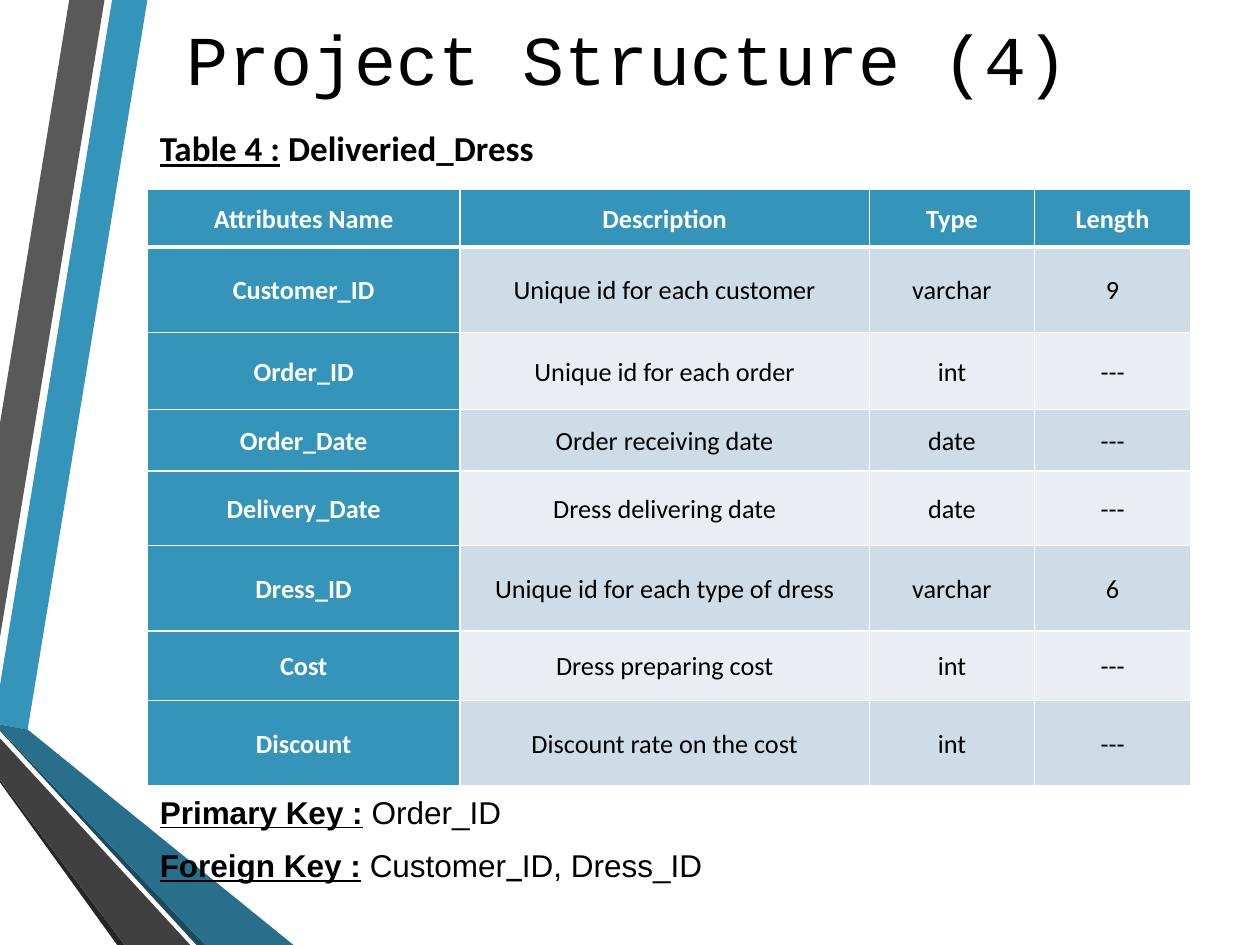
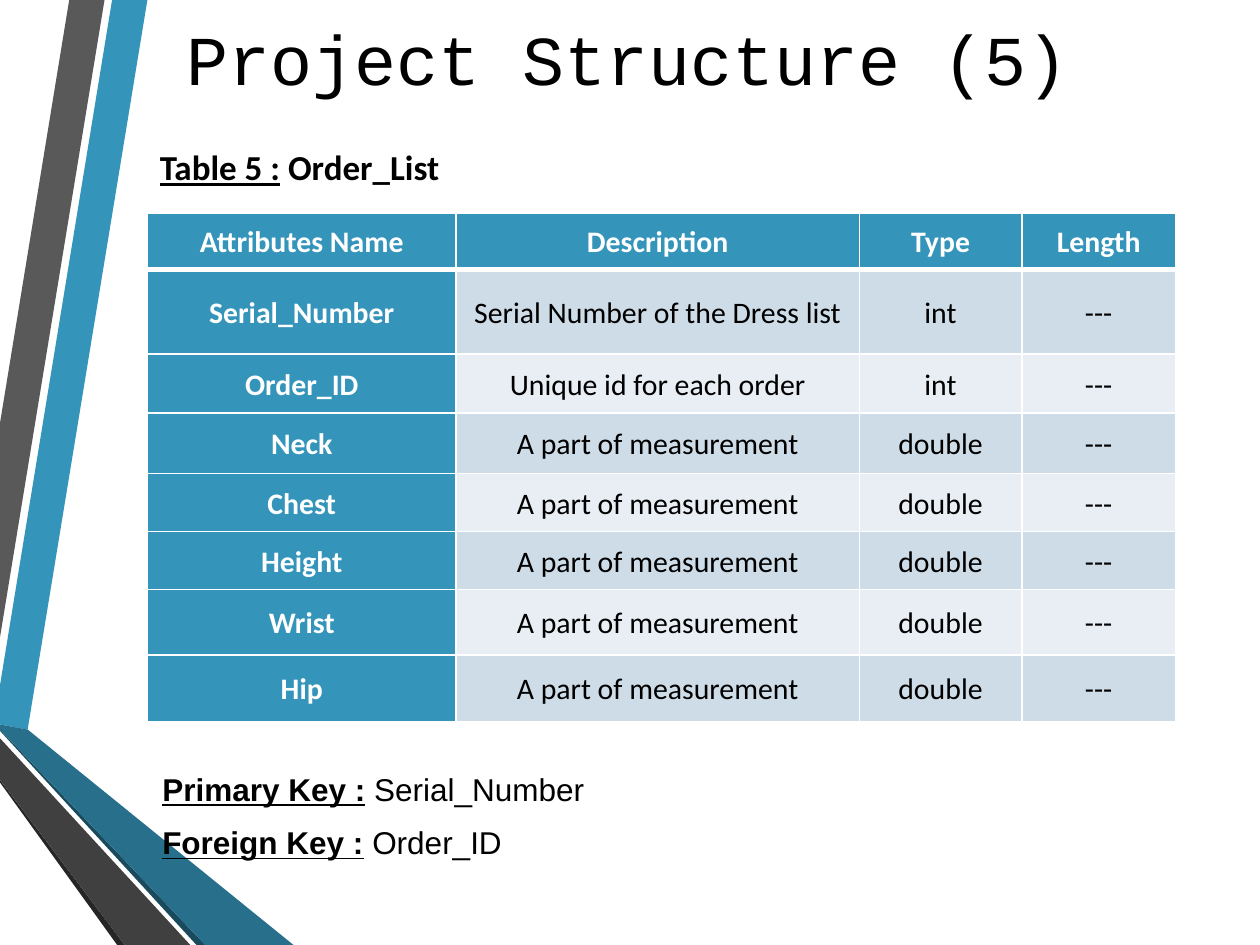
from lxml.etree import SubElement
from pptx import Presentation
from pptx.dml.color import RGBColor
from pptx.enum.text import MSO_ANCHOR, PP_ALIGN
from pptx.oxml.ns import qn
from pptx.util import Pt

PX = 9144
HUES = {
    "blue": "3494BA", "gray": "595959", "soot": "262626", "navy": "1A4A5D",
    "teal": "276F8B", "coal": "404040", "dark": "CEDCE7", "light": "E8EEF3",
    "white": "FFFFFF", "black": "000000",
}
BANDS = [
    ("blue", [(0, 544), (0, 575), (22, 579), (117, 0), (89, 0)]),
    ("gray", [(83, 0), (55, 0), (0, 336), (0, 506)]),
    ("soot", [(0, 619), (0, 621), (93, 750), (99, 750)]),
    ("navy", [(0, 579), (0, 580), (156, 750), (163, 750)]),
    ("teal", [(0, 579), (163, 750), (233, 750), (22, 579), (0, 575)]),
    ("coal", [(0, 619), (99, 750), (151, 750), (0, 586)]),
]
TITLE = {"name": "Courier New", "size": Pt(40)}
LABEL = {"name": "Calibri", "size": Pt(20), "bold": True}
KEY = {"name": "Arial", "size": Pt(18)}
BOLD = {"bold": True}
LINE = {"bold": True, "underline": True}
HEAD = ["Attributes Name", "Description", "Type", "Length"]
PART = ["A part of measurement", "double", "---"]
PAGES = [
    {
        "title": "Project Structure (4)",
        "label": ("Table 4 :", " Deliveried_Dress"), "top": 65,
        "keys": (117, 622, 125),
        "main": [("Order_ID", {})],
        "links": [("Customer", {}), ("_", {"name": "Calibri", "bold": True}),
                  ("ID, Dress_ID", {})],
        "grid": (117, 150), "size": 15, "pad": 6,
        "cols": [248, 325, 131, 124],
        "highs": [46, 68, 61, 49, 59, 68, 55, 68],
        "rows": [
            ["Customer_ID", "Unique id for each customer", "varchar", "9"],
            ["Order_ID", "Unique id for each order", "int", "---"],
            ["Order_Date", "Order receiving date", "date", "---"],
            ["Delivery_Date", "Dress delivering date", "date", "---"],
            ["Dress_ID", "Unique id for each type of dress", "varchar", "6"],
            ["Cost", "Dress preparing cost", "int", "---"],
            ["Discount", "Discount rate on the cost", "int", "---"],
        ],
    },
    {
        "title": "Project Structure (5)",
        "label": ("Table 5 :", " Order_List"), "top": 80,
        "keys": (119, 604, 94),
        "main": [("Serial_Number", {})],
        "links": [("Order_ID", {})],
        "grid": (117, 169), "size": 17, "pad": 7,
        "cols": [245, 320, 129, 122],
        "highs": [45, 67, 47, 48, 46, 46, 52, 53],
        "rows": [
            ["Serial_Number", "Serial Number of the Dress list", "int", "---"],
            ["Order_ID", "Unique id for each order", "int", "---"],
        ] + [[name] + PART for name in ("Neck", "Chest", "Height", "Wrist", "Hip")],
    },
]


def write(para, text, look, hue="black"):
    run = para.add_run()
    run.text = text
    for name, value in look.items():
        setattr(run.font, name, value)
    run.font.color.rgb = RGBColor.from_string(HUES[hue])


def frame(slide, place, look):
    box = slide.shapes.add_textbox(*[n * PX for n in place])
    for name, value in {"word_wrap": True, **look}.items():
        setattr(box.text_frame, name, value)
    return box.text_frame


deck = Presentation()
deck.slide_width, deck.slide_height = 1000 * PX, 750 * PX

for page in PAGES:
    slide = deck.slides.add_slide(deck.slide_layouts[6])
    for hue, dots in BANDS:
        pen = slide.shapes.build_freeform(*dots[0], scale=PX)
        pen.add_line_segments(dots[1:], close=True)
        band = pen.convert_to_shape()
        band.shadow.inherit = False
        band.fill.solid()
        band.fill.fore_color.rgb = RGBColor.from_string(HUES[hue])
        band.line.fill.background()

    text = frame(slide, (50, 0, 895, 92), {"vertical_anchor": MSO_ANCHOR.MIDDLE})
    text.paragraphs[0].alignment = PP_ALIGN.CENTER
    write(text.paragraphs[0], page["title"], TITLE)

    text = frame(slide, (117, page["top"], 1177, 74),
                 {"vertical_anchor": MSO_ANCHOR.BOTTOM})
    write(text.paragraphs[0], page["label"][0], {**LABEL, **LINE})
    write(text.paragraphs[0], page["label"][1], LABEL)

    left, top, high = page["keys"]
    text = frame(slide, (left, top, 1177, high),
                 {"vertical_anchor": MSO_ANCHOR.TOP, "margin_top": 7 * PX})
    text.paragraphs[0].space_after = Pt(9)
    for para, name, parts in [
        (text.paragraphs[0], "Primary Key :", page["main"]),
        (text.add_paragraph(), "Foreign Key :", page["links"]),
    ]:
        for word, look in [(name, LINE), (" ", BOLD)] + parts:
            write(para, word, {**KEY, **look})

    rows = [HEAD] + page["rows"]
    place = (*page["grid"], sum(page["cols"]), sum(page["highs"]))
    grid = slide.shapes.add_table(len(rows), len(HEAD), *[n * PX for n in place]).table
    for col, wide in zip(grid.columns, page["cols"]):
        col.width = wide * PX
    for row, high in zip(grid.rows, page["highs"]):
        row.height = high * PX
    pad = page["pad"] * PX
    format = {"margin_left": pad, "margin_right": pad, "margin_top": 0,
              "margin_bottom": 0, "vertical_anchor": MSO_ANCHOR.MIDDLE}
    for r, words in enumerate(rows):
        for c, word in enumerate(words):
            cell = grid.cell(r, c)
            for name, value in format.items():
                setattr(cell, name, value)
            for side in "LRTB":
                thick = (r, side) in [(0, "B"), (1, "T")]
                edge = SubElement(cell._tc.get_or_add_tcPr(), qn(f"a:ln{side}"),
                                  w=str(Pt(3 if thick else 1)))
                fill = SubElement(edge, qn("a:solidFill"))
                SubElement(fill, qn("a:srgbClr"), val=HUES["white"])
            key = r == 0 or c == 0
            hue = "blue" if key else "dark" if r % 2 else "light"
            cell.fill.solid()
            cell.fill.fore_color.rgb = RGBColor.from_string(HUES[hue])
            para = cell.text_frame.paragraphs[0]
            para.alignment = PP_ALIGN.CENTER
            para.line_spacing = 1.07
            write(para, word, {"name": "Calibri", "size": Pt(page["size"]), "bold": key},
                  "white" if key else "black")

deck.save("out.pptx")
